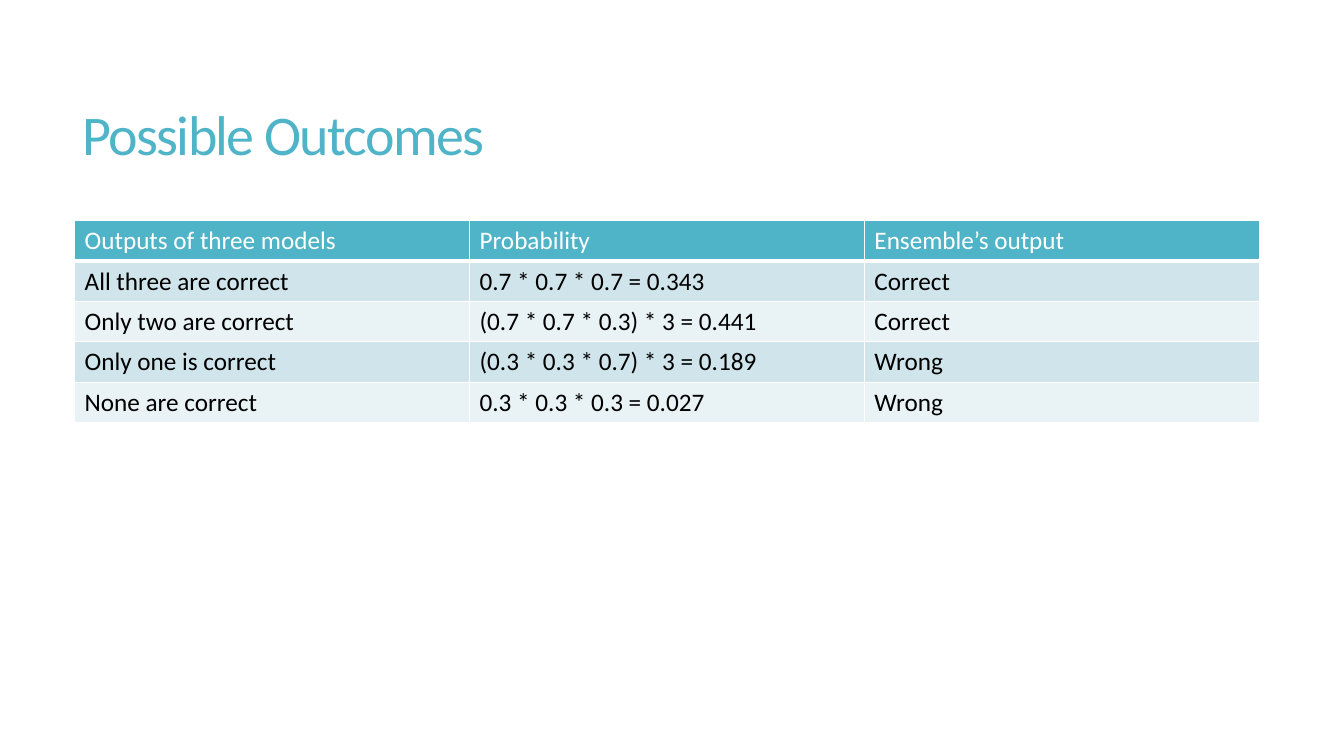
from dataclasses import dataclass

from lxml import etree
from pptx import Presentation
from pptx import util as u
from pptx.dml.color import RGBColor
from pptx.enum import text
from pptx.oxml.ns import qn


@dataclass(frozen=True)
class Theme:
    font: str = "Calibri"
    teal: str = "50B4C8"
    white: str = "FFFFFF"
    black: str = "000000"
    bands: tuple = ("D0E5EB", "E9F2F5")
    title: int = 40
    body: int = 18
    thin: int = 1
    thick: int = 3


HEAD = ("Outputs of three models", "Probability", "Ensemble’s output")
CASES = (
    ("All three are correct", "0.7 * 0.7 * 0.7 = 0.343", "Correct"),
    ("Only two are correct", "(0.7 * 0.7 * 0.3) * 3 = 0.441", "Correct"),
    ("Only one is correct", "(0.3 * 0.3 * 0.7) * 3 = 0.189", "Wrong"),
    ("None are correct", "0.3 * 0.3 * 0.3 = 0.027", "Wrong"),
)


class Page:
    def __init__(self, slide, theme):
        self.slide = slide
        self.theme = theme

    def run(self, para, words, size, color):
        run = para.add_run()
        run.text = words
        font = run.font
        font.name = self.theme.font
        font.size = u.Pt(size)
        font.bold = False
        font.color.rgb = RGBColor.from_string(color)
        return run

    def title(self, words, left, top, width, height):
        box = self.slide.shapes.add_textbox(
            u.Inches(left), u.Inches(top), u.Inches(width), u.Inches(height))
        frame = box.text_frame
        frame.word_wrap = True
        frame.vertical_anchor = text.MSO_ANCHOR.MIDDLE
        para = frame.paragraphs[0]
        para.line_spacing = 0.85
        run = self.run(para, words, self.theme.title, self.theme.teal)
        run.font._element.set("spc", "-120")

    def edges(self, cell, base):
        """Draw white cell borders; base is the width of the bottom one."""
        props = cell._tc.get_or_add_tcPr()
        thin = self.theme.thin
        for side, width in zip("LRTB", (thin, thin, thin, base)):
            line = etree.SubElement(props, qn(f"a:ln{side}"), w=str(u.Pt(width)))
            fill = etree.SubElement(line, qn("a:solidFill"))
            etree.SubElement(fill, qn("a:srgbClr"), val=self.theme.white)

    def cell(self, cell, words, fill, color, base):
        self.edges(cell, base)
        cell.fill.solid()
        cell.fill.fore_color.rgb = RGBColor.from_string(fill)
        self.run(cell.text_frame.paragraphs[0], words, self.theme.body, color)

    def table(self, head, cases, left, top, width, row):
        """Place a header row over banded rows, each of height row."""
        look = self.theme
        rows = (head, *cases)
        grid = self.slide.shapes.add_table(
            len(rows), len(head), u.Inches(left), u.Inches(top),
            u.Inches(width), u.Inches(row * len(rows))).table
        for r, words in enumerate(rows):
            if r == 0:
                style = look.teal, look.white, look.thick
            else:
                style = look.bands[(r - 1) % 2], look.black, look.thin
            for c, word in enumerate(words):
                self.cell(grid.cell(r, c), word, *style)


def main():
    deck = Presentation()
    deck.slide_width = u.Inches(13.33)
    deck.slide_height = u.Inches(7.5)
    page = Page(deck.slides.add_slide(deck.slide_layouts[6]), Theme())
    page.title("Possible Outcomes", 0.72, 0.55, 11.78, 1.65)
    page.table(HEAD, CASES, 0.74, 2.19, 11.75, 0.4)
    deck.save("out.pptx")


if __name__ == "__main__":
    main()
